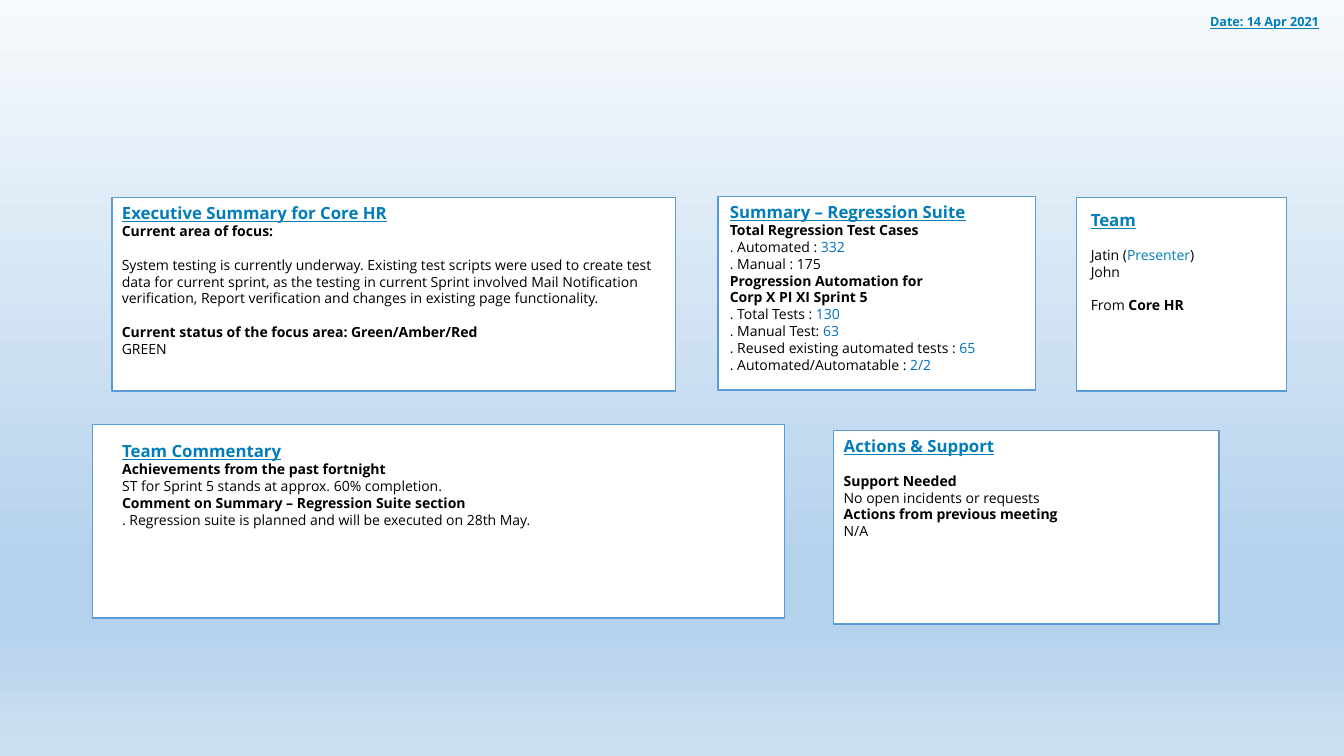
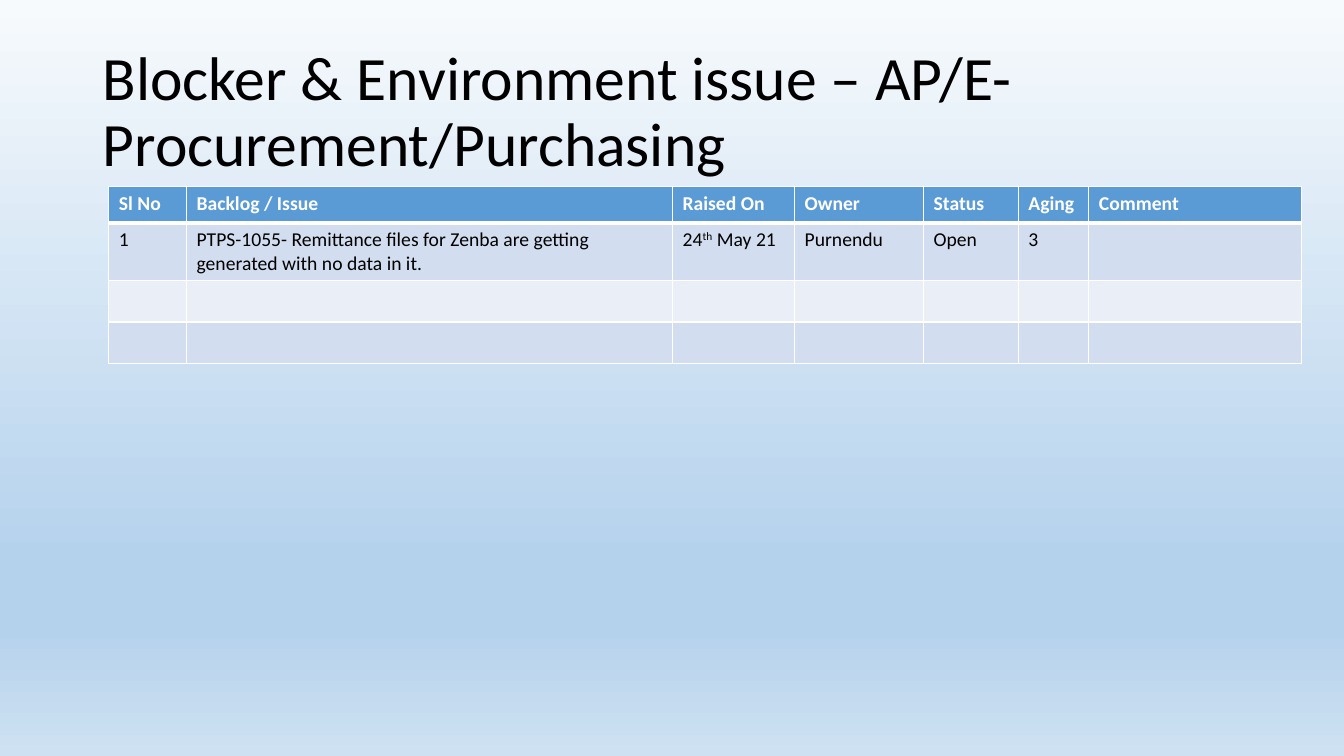
from dataclasses import dataclass

from lxml.etree import SubElement
from pptx import Presentation
from pptx.dml.color import RGBColor
from pptx.enum.shapes import MSO_SHAPE as Preset
from pptx.enum.text import MSO_ANCHOR as Anchor, MSO_AUTO_SIZE as AutoSize, PP_ALIGN as Align
from pptx.oxml.ns import qn
from pptx.util import Inches, Pt

WIDTH, HEIGHT = Inches(13.33), Inches(7.5)


@dataclass(frozen=True)
class Theme:
    panel_font: str = "Open Sans"
    table_font: str = "Calibri"
    black: str = "000000"
    white: str = "FFFFFF"
    accent: str = "007DBA"
    value: str = "0070C0"
    border: str = "5B9BD5"
    bands: tuple = ("D2DEEF", "EAEFF7")
    backdrop: tuple = ((0, "F7FAFD"), (74, "B5D2EC"), (83, "B5D2EC"), (100, "CEE1F2"))
    title_size: int = 44
    table_size: int = 14
    heading_size: int = 12
    body_size: int = 10
    date_size: int = 9


THEME = Theme()
HEADING = dict(size=THEME.heading_size, color=THEME.accent, bold=True, underline=True)
LABEL = dict(bold=True)
VALUE = dict(color=THEME.value)
ACCENT = dict(color=THEME.accent)
DATE = dict(HEADING, size=THEME.date_size)
CELL = dict(font=THEME.table_font, size=THEME.table_size)
GAP = Pt(12)


def place(left, top, width, height):
    column, row = WIDTH / 100, HEIGHT / 100
    return [round(n) for n in (left * column, top * row, width * column, height * row)]


def add_run(paragraph, text, font=THEME.panel_font, size=THEME.body_size, color=THEME.black,
            bold=False, underline=False, raised=False):
    run = paragraph.add_run()
    run.text = text
    run.font.name = font
    run.font.size = Pt(size)
    run.font.bold = bold
    run.font.underline = underline
    run.font.color.rgb = RGBColor.from_string(color)
    if raised:
        run.font._element.set("baseline", "30000")


def line(*pieces, gap=False, **style):
    runs = [(piece, style) if isinstance(piece, str) else piece for piece in pieces]
    return runs, gap


def write_lines(frame, lines):
    for index, (runs, gap) in enumerate(lines):
        paragraph = frame.add_paragraph() if index else frame.paragraphs[0]
        paragraph.alignment = Align.LEFT
        if gap:
            paragraph.space_before = GAP
        for text, style in runs:
            add_run(paragraph, text, **style)


def add_panel(slide, box, heading, lines, inset=(7.2, 3.6)):
    panel = slide.shapes.add_shape(Preset.RECTANGLE, *place(*box))
    panel.shadow.inherit = False
    panel.fill.solid()
    panel.fill.fore_color.rgb = RGBColor.from_string(THEME.white)
    panel.line.color.rgb = RGBColor.from_string(THEME.border)
    panel.line.width = Pt(1)
    frame = panel.text_frame
    frame.word_wrap = True
    frame.vertical_anchor = Anchor.TOP
    frame.margin_left, frame.margin_top = map(Pt, inset)
    write_lines(frame, [line(heading, **HEADING), *lines])


def add_date(slide, text):
    frame = slide.shapes.add_textbox(*place(87.62, 1.2, 11.25, 3.33)).text_frame
    frame.word_wrap = False
    frame.paragraphs[0].alignment = Align.RIGHT
    add_run(frame.paragraphs[0], text, **DATE)


def format_title(slide, text):
    title = slide.shapes.title
    title.left, title.top, title.width, title.height = place(6.9, 5.33, 86.27, 19.33)
    frame = title.text_frame
    frame.auto_size = AutoSize.NONE
    frame.word_wrap = True
    frame.vertical_anchor = Anchor.MIDDLE
    paragraph = frame.paragraphs[0]
    paragraph.alignment = Align.LEFT
    paragraph.line_spacing = 0.9
    add_run(paragraph, text, font=THEME.table_font, size=THEME.title_size)


def add_color(parent, color):
    SubElement(parent, qn("a:srgbClr"), val=color)


def format_cell(cell, fill, top_width=1, bottom_width=1):
    properties = cell._tc.get_or_add_tcPr()
    for side, width in (("L", 1), ("R", 1), ("T", top_width), ("B", bottom_width)):
        edge = SubElement(properties, qn(f"a:ln{side}"), w=str(Pt(width)))
        add_color(SubElement(edge, qn("a:solidFill")), THEME.white)
    cell.fill.solid()
    cell.fill.fore_color.rgb = RGBColor.from_string(fill)


def add_issue_table(slide, columns, rows, blank_rows):
    header_height, row_height = 4.8, 5.47
    records = rows + [[""] * len(columns)] * blank_rows
    height = header_height + row_height * len(records)
    box = place(8.1, 24.67, sum(width for _, width in columns), height)
    table = slide.shapes.add_table(len(records) + 1, len(columns), *box).table
    for column, (_, width) in zip(table.columns, columns):
        column.width = round(WIDTH * width / 100)
    for index, row in enumerate(table.rows):
        row.height = round(HEIGHT * (row_height if index else header_height) / 100)
    for cell, (name, _) in zip(table.rows[0].cells, columns):
        format_cell(cell, THEME.border, bottom_width=3)
        add_run(cell.text_frame.paragraphs[0], name, color=THEME.white, bold=True, **CELL)
    for index, record in enumerate(records):
        for cell, content in zip(table.rows[index + 1].cells, record):
            format_cell(cell, THEME.bands[index % 2], top_width=1 if index else 3)
            pieces = [(content, {})] if isinstance(content, str) else content
            for text, style in pieces:
                if text:
                    add_run(cell.text_frame.paragraphs[0], text, **CELL, **style)


def paint_background(master):
    fill = master.background.fill
    fill.gradient()
    fill.gradient_angle = 270
    stops = master.element.find(".//" + qn("a:gsLst"))
    for stop in list(stops):
        stops.remove(stop)
    for position, color in THEME.backdrop:
        add_color(SubElement(stops, qn("a:gs"), pos=str(position * 1000)), color)


def build_status(slide):
    add_panel(slide, (53.41, 26, 23.63, 25.6), "Summary – Regression Suite", [
        line("Total Regression Test Cases", **LABEL),
        line(". Automated : ", ("332", VALUE)),
        line(". Manual : 175"),
        line("Progression Automation for", **LABEL),
        line("Corp X PI XI Sprint 5", **LABEL),
        line(". Total Tests : ", ("130", VALUE)),
        line(". Manual Test: ", ("63", VALUE)),
        line(". Reused existing automated tests : ", ("65", VALUE)),
        line(". Automated/Automatable : ", ("2/2", VALUE)),
    ], inset=(8.6, 3.6))
    add_panel(slide, (6.9, 56.13, 51.46, 25.6), "Team Commentary", [
        line("Achievements from the past fortnight", **LABEL),
        line("ST for Sprint 5 stands at approx. 60% completion."),
        line("Comment on Summary – Regression Suite section", **LABEL),
        line(". Regression suite is planned and will be executed on 28th May."),
    ], inset=(21, 11.5))
    add_panel(slide, (62.04, 56.93, 28.66, 25.6), "Actions & Support", [
        line("Support Needed", gap=True, **LABEL),
        line("No open incidents or requests"),
        line("Actions from previous meeting", **LABEL),
        line("N/A"),
    ])
    add_panel(slide, (8.33, 26.13, 41.93, 25.6), "Executive Summary for Core HR", [
        line("Current area of focus:", **LABEL),
        line("System testing is currently underway. Existing test scripts were used to create "
             "test data for current sprint, as the testing in current Sprint involved Mail "
             "Notification verification, Report verification and changes in existing page "
             "functionality.", gap=True),
        line("Current status of the focus area: Green/Amber/Red", gap=True, **LABEL),
        line("GREEN"),
    ])
    add_panel(slide, (80.12, 26.13, 15.6, 25.6), "Team", [
        line("Jatin (", ("Presenter", ACCENT), ")", gap=True),
        line("John"),
        line("From ", ("Core HR", LABEL), gap=True),
    ], inset=(10, 8.6))
    add_date(slide, "Date: 14 Apr 2021")


def build_issues(slide):
    format_title(slide, "Blocker & Environment issue – AP/E-Procurement/Purchasing")
    columns = [("Sl No", 5.78), ("Backlog / Issue", 36.16), ("Raised On", 9.08),
               ("Owner", 9.6), ("Status", 7.05), ("Aging", 5.25), ("Comment", 15.83)]
    raised_on = [("24", {}), ("th", dict(raised=True)), (" May 21", {})]
    issue = ["1", "PTPS-1055- Remittance files for Zenba are getting generated with no data in it.",
             raised_on, "Purnendu", "Open", "3", ""]
    add_issue_table(slide, columns, [issue], blank_rows=2)


def main():
    presentation = Presentation()
    presentation.slide_width, presentation.slide_height = WIDTH, HEIGHT
    paint_background(presentation.slide_master)
    title_only, blank = presentation.slide_layouts[5], presentation.slide_layouts[6]
    build_status(presentation.slides.add_slide(blank))
    build_issues(presentation.slides.add_slide(title_only))
    presentation.save("out.pptx")


main()
